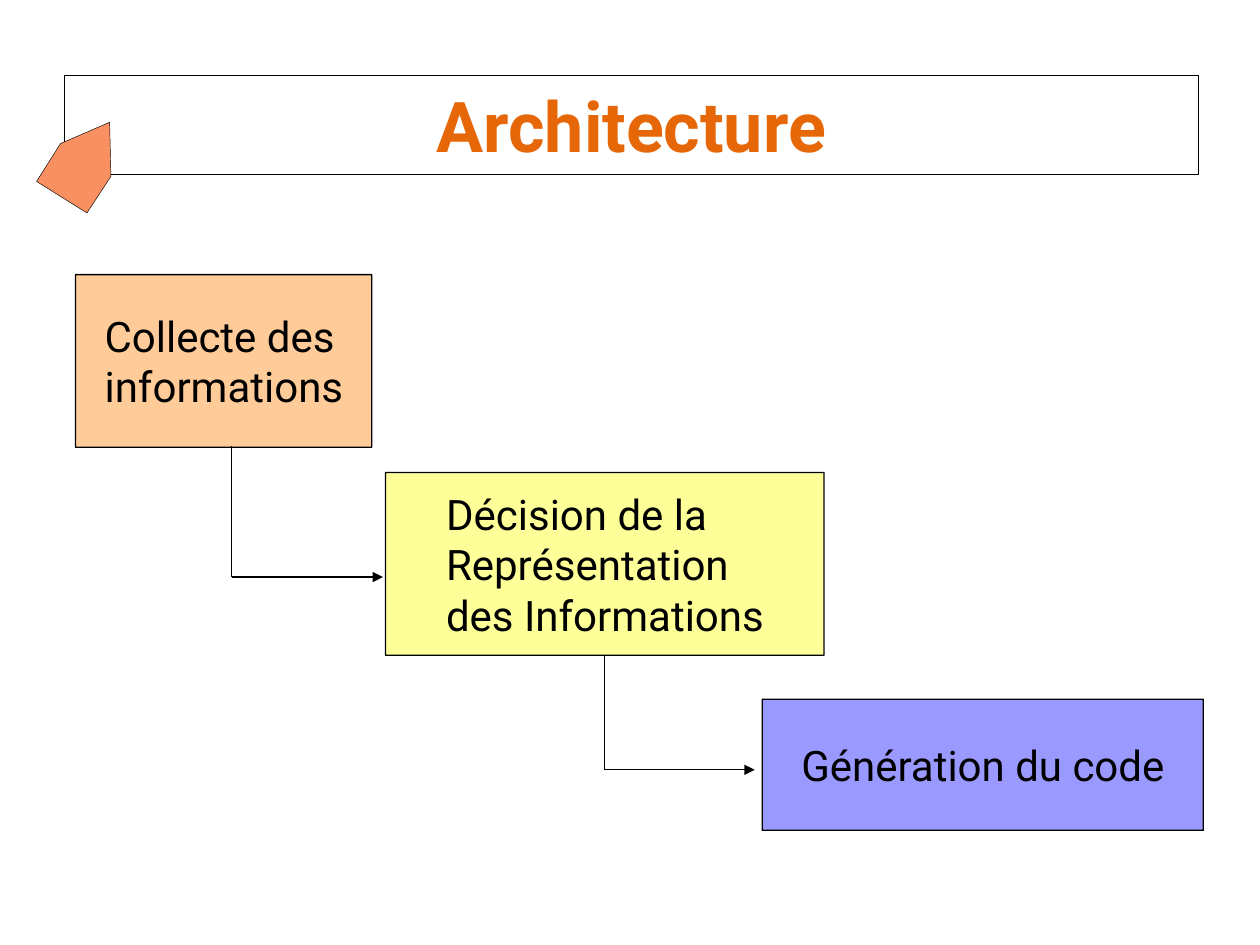
import lxml.etree
import pptx
import pptx.dml.color
import pptx.enum.shapes
import pptx.enum.text
import pptx.oxml.ns
import pptx.util

Inches = pptx.util.Inches
Pt = pptx.util.Pt
SHAPE = pptx.enum.shapes.MSO_SHAPE
ALIGN = pptx.enum.text.PP_ALIGN
COLORS = {
    "black": "000000",
    "orange": "E66708",
    "coral": "F89062",
    "peach": "FFCC99",
    "yellow": "FFFF99",
    "violet": "9999FF",
}
STEPS = [
    ((0.6, 2.18, 2.35, 1.37), "peach", 0.23, ["Collecte des informations"]),
    ((3.06, 3.75, 3.48, 1.45), "yellow", 0.48,
     ["Décision de la", "Représentation", "des Informations"]),
    ((6.05, 5.55, 3.5, 1.04), "violet", 0.31, ["Génération du code"]),
]
LINKS = [
    ((1.84, 3.54), (1.84, 4.58), (3.04, 4.58)),
    ((4.8, 5.2), (4.8, 6.11), (5.99, 6.11)),
]
MARK = [(0.29, 1.44), (0.48, 1.14), (0.87, 0.97), (0.88, 1.4), (0.69, 1.69)]


def color(name):
    return pptx.dml.color.RGBColor.from_string(COLORS[name])


def apply(target, values):
    for name, value in values.items():
        setattr(target, name, value)


def paint(shape, fill, width):
    shape.shadow.inherit = False
    if fill:
        shape.fill.solid()
        shape.fill.fore_color.rgb = color(fill)
    else:
        shape.fill.background()
    shape.line.color.rgb = color("black")
    shape.line.width = Pt(width)


def write(shape, lines, inset, align, tint, style):
    frame = shape.text_frame
    apply(frame, {
        "word_wrap": True,
        "vertical_anchor": pptx.enum.text.MSO_ANCHOR.MIDDLE,
        "margin_left": Inches(inset),
        "margin_right": 0,
        "margin_top": 0,
        "margin_bottom": 0,
    })
    frame.text = "\n".join(lines)
    for para in frame.paragraphs:
        para.alignment = align
        apply(para.font, {"name": "Roboto", **style})
        para.font.color.rgb = color(tint)


def add_title(slide):
    box = slide.shapes.add_shape(
        SHAPE.RECTANGLE, *map(Inches, (0.51, 0.6, 9, 0.78)))
    paint(box, None, 0.25)
    write(box, ["Architecture"], 0, ALIGN.CENTER, "orange",
          {"size": Pt(40), "bold": True})


def add_mark(slide):
    points = [(Inches(x), Inches(y)) for x, y in MARK]
    pen = slide.shapes.build_freeform(*points[0])
    pen.add_line_segments(points[1:], close=True)
    paint(pen.convert_to_shape(), "coral", 0.25)


def add_step(slide, place, fill, inset, lines):
    box = slide.shapes.add_shape(
        SHAPE.ROUNDED_RECTANGLE, *map(Inches, place))
    box.adjustments[0] = 0.001
    paint(box, fill, 0.75)
    write(box, lines, inset, ALIGN.LEFT, "black", {"size": Pt(24)})


def add_line(slide, start, end, arrow=False):
    line = slide.shapes.add_connector(
        pptx.enum.shapes.MSO_CONNECTOR.STRAIGHT, *map(Inches, start + end))
    line.line.color.rgb = color("black")
    line.line.width = Pt(0.75)
    props = line._element.spPr
    qn = pptx.oxml.ns.qn
    if arrow:
        lxml.etree.SubElement(
            props.find(qn("a:ln")), qn("a:tailEnd"), type="triangle")
    lxml.etree.SubElement(props, qn("a:effectLst"))


def main():
    deck = pptx.Presentation()
    apply(deck, {"slide_width": Inches(10), "slide_height": Inches(7.5)})
    slide = deck.slides.add_slide(deck.slide_layouts[6])
    for step in STEPS:
        add_step(slide, *step)
    for start, turn, end in LINKS:
        add_line(slide, start, turn)
        add_line(slide, turn, end, arrow=True)
    add_title(slide)
    add_mark(slide)
    deck.save("out.pptx")


if __name__ == "__main__":
    main()
